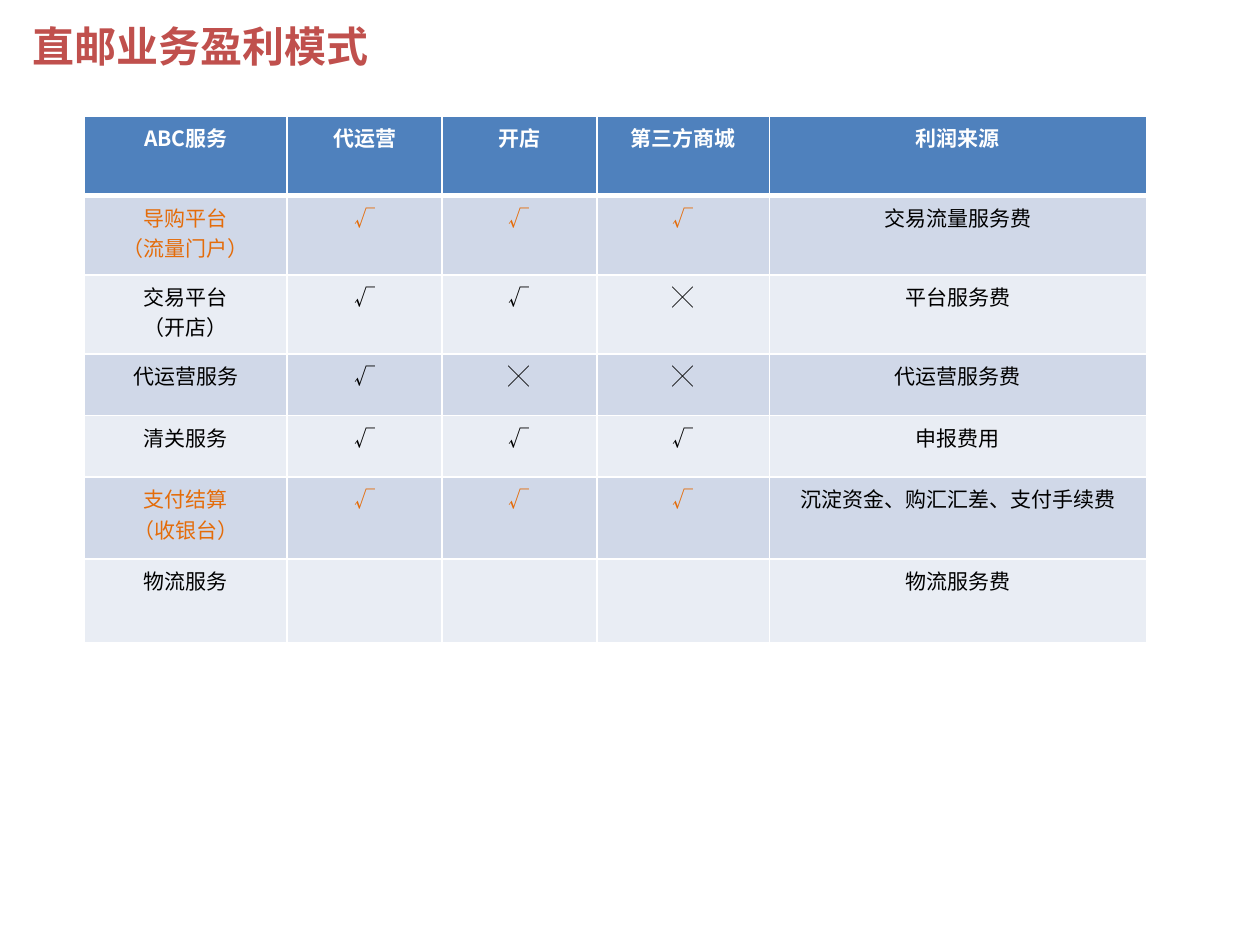
"""Build the slide on the profit model of the direct mail business."""
import lxml.etree
import pptx
import pptx.dml.color
import pptx.enum.text
import pptx.oxml.ns
import pptx.util

Cm = pptx.util.Cm
qn = pptx.oxml.ns.qn
FONT = "Noto Sans CJK SC"
WHITE, BLACK, ORANGE, RED = "FFFFFF", "000000", "E46C0A", "C0504D"
HEADER_FILL, BAND_FILLS = "4F81BD", ("E9EDF4", "D0D8E8")


def add_span(para, text, size, color, bold, latin):
    span = para.add_run()
    span.text = text
    span.font.size = pptx.util.Pt(size)
    span.font.bold = bold
    span.font.color.rgb = pptx.dml.color.RGBColor.from_string(color)
    span.font.name = latin
    lxml.etree.SubElement(span.font._element, qn("a:ea"), typeface=FONT)


def add_border(cell, side, points):
    line = lxml.etree.SubElement(
        cell._tc.get_or_add_tcPr(), qn(f"a:ln{side}"), w=str(pptx.util.Pt(points)))
    fill = lxml.etree.SubElement(line, qn("a:solidFill"))
    lxml.etree.SubElement(fill, qn("a:srgbClr"), val=WHITE)


deck = pptx.Presentation()
deck.slide_width, deck.slide_height = Cm(25.4), Cm(19.05)
page = deck.slides.add_slide(deck.slide_layouts[6])

title_box = page.shapes.add_textbox(Cm(0.41), Cm(0.33), Cm(18.06), Cm(1.19))
title_box.text_frame.word_wrap = True
title_box.text_frame.vertical_anchor = pptx.enum.text.MSO_ANCHOR.MIDDLE
add_span(title_box.text_frame.paragraphs[0], "直邮业务盈利模式", 24, RED, True, "Arial")

rows = [
    (1.6, WHITE, ["ABC服务", "代运营", "开店", "第三方商城", "利润来源"]),
    (1.6, ORANGE, ["导购平台\n（流量门户）", "√", "√", "√", "交易流量服务费"]),
    (1.6, BLACK, ["交易平台\n（开店）", "√", "√", "╳", "平台服务费"]),
    (1.24, BLACK, ["代运营服务", "√", "╳", "╳", "代运营服务费"]),
    (1.24, BLACK, ["清关服务", "√", "√", "√", "申报费用"]),
    (1.65, ORANGE, ["支付结算\n（收银台）", "√", "√", "√", "沉淀资金、购汇汇差、支付手续费"]),
    (1.68, BLACK, ["物流服务", "", "", "", "物流服务费"]),
]
widths = [4.09, 3.12, 3.12, 3.48, 7.6]

table = page.shapes.add_table(
    len(rows), len(widths), Cm(1.7), Cm(2.34),
    Cm(sum(widths)), Cm(sum(row[0] for row in rows))).table
for column, width in zip(table.columns, widths):
    column.width = Cm(width)

for row_index, (height, row_color, texts) in enumerate(rows):
    table.rows[row_index].height = Cm(height)
    is_header = row_index == 0
    for column_index, text in enumerate(texts):
        cell = table.cell(row_index, column_index)
        for side in "LRTB":
            heavy = (row_index, side) in ((0, "B"), (1, "T"))
            add_border(cell, side, 3 if heavy else 1)
        cell.fill.solid()
        cell.fill.fore_color.rgb = pptx.dml.color.RGBColor.from_string(
            HEADER_FILL if is_header else BAND_FILLS[row_index % 2])
        is_profit = column_index == len(widths) - 1
        color = BLACK if is_profit and not is_header else row_color
        for line_index, line in enumerate(text.splitlines()):
            frame = cell.text_frame
            para = frame.add_paragraph() if line_index else frame.paragraphs[0]
            para.alignment = pptx.enum.text.PP_ALIGN.CENTER
            add_span(para, line, 12, color, is_header, FONT)

deck.save("out.pptx")
